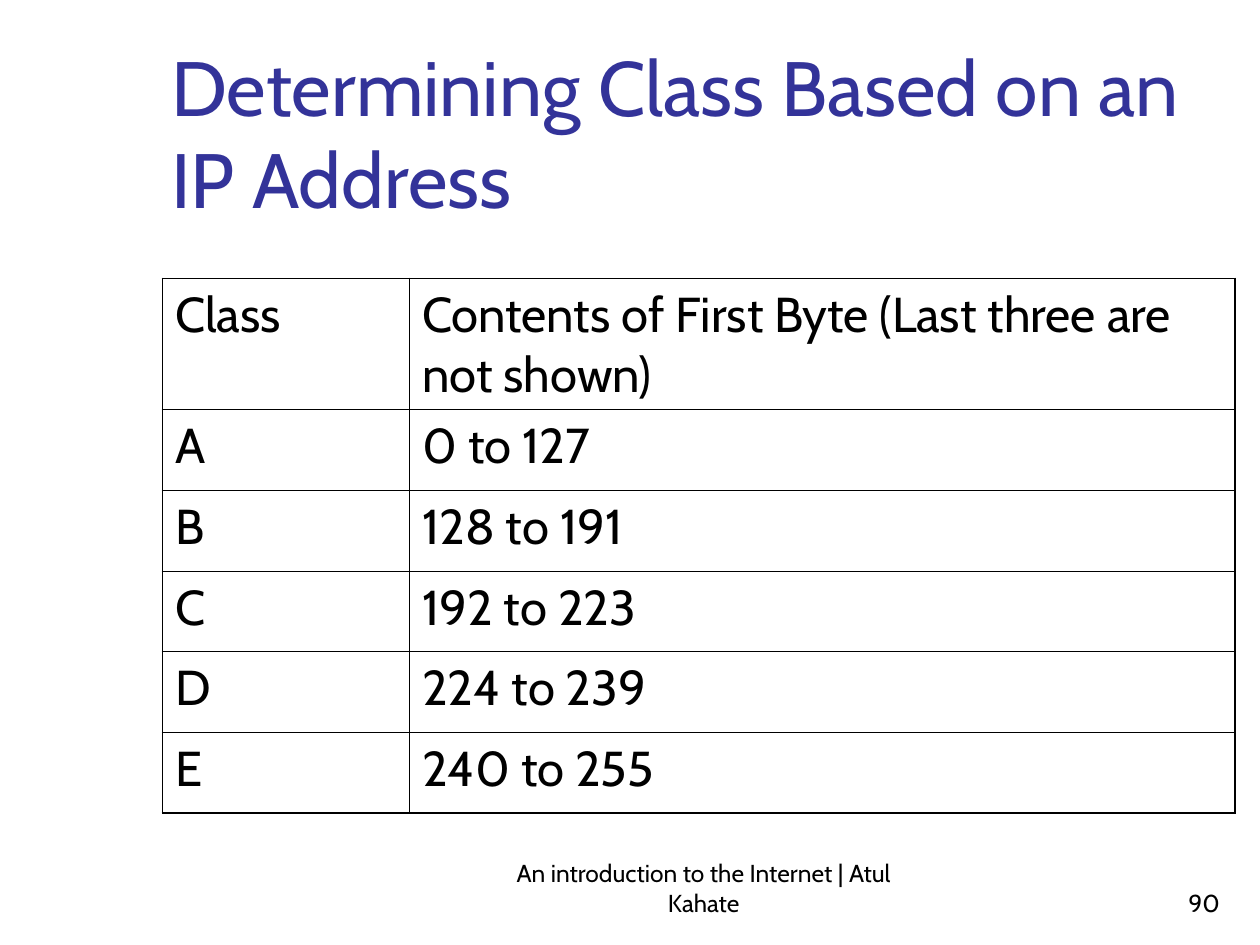
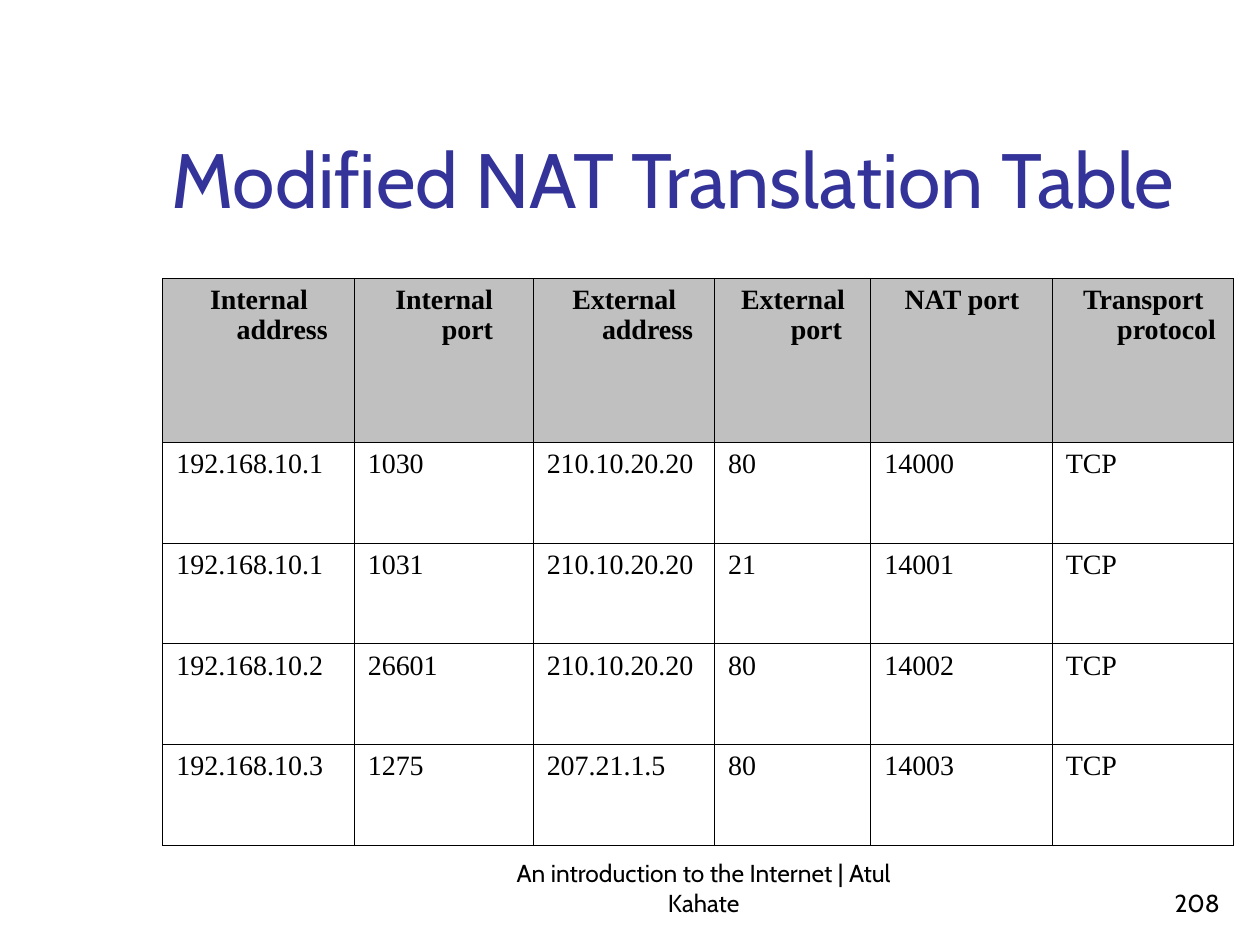
import pptx
import pptx.dml.color
import pptx.enum.text
import pptx.oxml.ns
import pptx.util
from lxml import etree

Inches = pptx.util.Inches
Pt = pptx.util.Pt
RGBColor = pptx.dml.color.RGBColor
Align = pptx.enum.text.PP_ALIGN
Anchor = pptx.enum.text.MSO_ANCHOR

INDIGO = RGBColor(0x33, 0x33, 0x99)
BLACK = RGBColor(0, 0, 0)
SILVER = RGBColor(0xC0, 0xC0, 0xC0)
SANS = "Cabin"
SERIF = "Times New Roman"
THIN, THICK = 0.45, 1.08
TITLE_ONLY = 5
FOOTER = "An introduction to the Internet | Atul Kahate"


def write_text(text_frame, text, size=14, font=SANS, color=BLACK, bold=False,
               align=Align.LEFT, spacing=None, hanging=None):
    """Put one formatted paragraph into a text frame."""
    paragraph = text_frame.paragraphs[0]
    paragraph.text = text
    paragraph.alignment = align
    if spacing:
        paragraph.line_spacing = spacing
    if hanging:
        left, first_line = hanging
        properties = paragraph._p.get_or_add_pPr()
        properties.set("marL", str(Inches(left)))
        properties.set("indent", str(Inches(first_line)))
    run_font = paragraph.runs[0].font
    run_font.name = font
    run_font.size = Pt(size)
    run_font.bold = bold
    run_font.color.rgb = color


def draw_border(cell, side, width):
    """Draw one side (L, R, T or B) of a table cell; call in that order."""
    tag = pptx.oxml.ns.qn
    line = etree.SubElement(cell._tc.get_or_add_tcPr(), tag("a:ln" + side),
                            w=str(Pt(width)))
    fill = etree.SubElement(line, tag("a:solidFill"))
    etree.SubElement(fill, tag("a:srgbClr"), val=str(BLACK))


class Deck:
    """Holds the shared style and the current slide."""

    def __init__(self):
        self.presentation = pptx.Presentation()
        self.presentation.slide_width = Inches(10)
        self.presentation.slide_height = Inches(7.5)
        self.slide = None

    def add_slide(self, title, number):
        layout = self.presentation.slide_layouts[TITLE_ONLY]
        self.slide = self.presentation.slides.add_slide(layout)
        self.format_title(title)
        self.add_footer(FOOTER, 4, 3.17, Align.CENTER)
        self.add_footer(str(number), 7.7, 2.08, Align.RIGHT)

    def format_title(self, text):
        shape = self.slide.shapes.title
        shape.left, shape.top = Inches(1.26), Inches(0.23)
        shape.width, shape.height = Inches(8.52), Inches(1.6)
        shape.text_frame.auto_size = pptx.enum.text.MSO_AUTO_SIZE.NONE
        shape.text_frame.vertical_anchor = Anchor.BOTTOM
        write_text(shape.text_frame, text, size=44, color=INDIGO)

    def add_footer(self, text, left, width, align):
        shape = self.slide.shapes.add_textbox(
            Inches(left), Inches(6.83), Inches(width), Inches(0.5))
        shape.text_frame.word_wrap = True
        shape.text_frame.vertical_anchor = Anchor.BOTTOM
        write_text(shape.text_frame, text, align=align)

    def add_table(self, rows, widths, heights, body, header=None,
                  header_fill=None, frame=THIN, margin_top=0.05):
        table = self.slide.shapes.add_table(
            len(rows), len(widths), Inches(1.29), Inches(2.21),
            Inches(sum(widths)), Inches(sum(heights))).table
        table.first_row = table.horz_banding = False
        for column, width in zip(table.columns, widths):
            column.width = Inches(width)
        last_row, last_column = len(rows) - 1, len(widths) - 1
        for i, values in enumerate(rows):
            table.rows[i].height = Inches(heights[i])
            for j, text in enumerate(values):
                cell = table.cell(i, j)
                cell.margin_top = Inches(margin_top)
                is_header = i == 0 and header is not None
                write_text(cell.text_frame, text,
                           **(header if is_header else body))
                # The outer frame may be heavier than the inner grid
                outer = {"L": j == 0, "R": j == last_column,
                         "T": i == 0, "B": i == last_row}
                for side, on_frame in outer.items():
                    draw_border(cell, side, frame if on_frame else THIN)
                if i == 0 and header_fill is not None:
                    cell.fill.solid()
                    cell.fill.fore_color.rgb = header_fill
                else:
                    cell.fill.background()


def main():
    deck = Deck()

    # Address classes
    deck.add_slide("Determining Class Based on an IP Address", 90)
    address_classes = [
        ("Class", "Contents of First Byte (Last three are not shown)"),
        ("A", "0 to 127"),
        ("B", "128 to 191"),
        ("C", "192 to 223"),
        ("D", "224 to 239"),
        ("E", "240 to 255"),
    ]
    deck.add_table(address_classes, [1.96, 6.55], [1.03] + [0.64] * 5,
                   body=dict(size=28, spacing=1.01), frame=THICK)

    # NAT translation
    deck.add_slide("Modified NAT Translation Table", 208)
    translations = [
        ("Internal address", "Internal port", "External address",
         "External port", "NAT port", "Transport protocol"),
        ("192.168.10.1", "1030", "210.10.20.20", "80", "14000", "TCP"),
        ("192.168.10.1", "1031", "210.10.20.20", "21", "14001", "TCP"),
        ("192.168.10.2", "26601", "210.10.20.20", "80", "14002", "TCP"),
        ("192.168.10.3", "1275", "207.21.1.5", "80", "14003", "TCP"),
    ]
    entry = dict(size=16, font=SERIF, spacing=0.95, hanging=(0.38, -0.37))
    deck.add_table(translations, [1.52, 1.42, 1.44, 1.24, 1.44, 1.44],
                   [1.3] + [0.8] * 4,
                   body=dict(entry, align=Align.JUSTIFY),
                   header=dict(entry, align=Align.CENTER, bold=True),
                   header_fill=SILVER, margin_top=0.06)

    deck.presentation.save("out.pptx")


if __name__ == "__main__":
    main()
